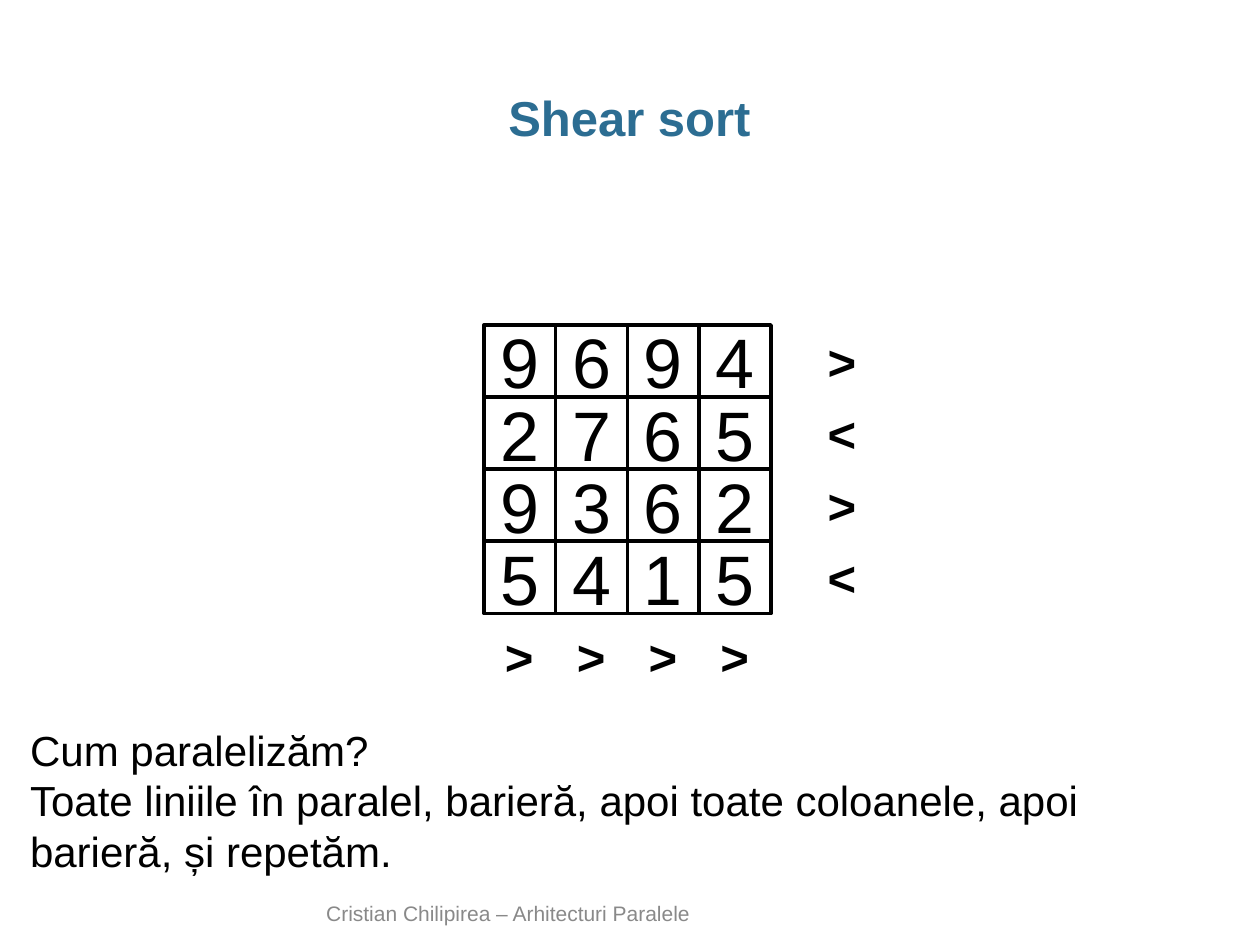
from pptx import Presentation
from pptx.dml.color import RGBColor
from pptx.enum.shapes import MSO_SHAPE
from pptx.enum.text import MSO_ANCHOR, PP_ALIGN
from pptx.util import Inches, Pt

BLACK = RGBColor(0x00, 0x00, 0x00)
BLUE = RGBColor(0x2C, 0x6D, 0x92)
GRAY = RGBColor(0x89, 0x89, 0x89)

CELL = 0.57
PITCH = 0.573
LEFT, TOP = 3.84, 2.58
MARK_W = 0.43
ROWS = ["9694", "2765", "9362", "5415"]
ROW_MARKS = "><><"
COLUMN_MARKS = ">>>>"


def write(tf, lines, fmt, align=PP_ALIGN.LEFT):
    for i, line in enumerate(lines):
        p = tf.paragraphs[0] if i == 0 else tf.add_paragraph()
        p.alignment = align
        r = p.add_run()
        r.text = line
        r.font.name = "Arial"
        r.font.color.rgb = fmt["color"]
        for name in ("size", "bold"):
            setattr(r.font, name, fmt.get(name))


def add_text(s, box, lines, fmt, align=PP_ALIGN.LEFT, wrap=True):
    tf = s.shapes.add_textbox(*map(Inches, box)).text_frame
    tf.word_wrap = wrap
    write(tf, lines, fmt, align)
    return tf


prs = Presentation()
prs.slide_width, prs.slide_height = Inches(10), Inches(7.5)
s = prs.slides.add_slide(prs.slide_layouts[6])

footer = add_text(s, (2.49, 7.16, 5.02, 0.24),
                  ["Cristian Chilipirea – Arhitecturi Paralele"],
                  {"size": Pt(12), "color": GRAY})
footer.vertical_anchor = MSO_ANCHOR.BOTTOM

title = add_text(s, (0.34, 0.68, 9.31, 0.5), ["Shear sort"],
                 {"size": Pt(28), "bold": True, "color": BLUE}, PP_ALIGN.CENTER)
title.margin_left = title.margin_right = 0
title.paragraphs[0].line_spacing = 0.95

for row, digits in enumerate(ROWS):
    for col, digit in enumerate(digits):
        box = (LEFT + col * CELL, TOP + row * PITCH, CELL, CELL)
        sp = s.shapes.add_shape(MSO_SHAPE.RECTANGLE, *map(Inches, box))
        sp.shadow.inherit = False
        sp.fill.background()
        sp.line.color.rgb = BLACK
        sp.line.width = Pt(2)
        sp.text_frame.vertical_anchor = MSO_ANCHOR.MIDDLE
        write(sp.text_frame, [digit], {"size": Pt(40), "color": BLACK},
              PP_ALIGN.CENTER)

mark_format = {"size": Pt(28), "bold": True, "color": BLACK}
for i, (row_mark, column_mark) in enumerate(zip(ROW_MARKS, COLUMN_MARKS)):
    add_text(s, (6.47, TOP + i * PITCH, MARK_W, CELL), [row_mark],
             mark_format, wrap=False)
    add_text(s, (LEFT + i * CELL + (CELL - MARK_W) / 2, 4.92, MARK_W, CELL),
             [column_mark], mark_format, wrap=False)

add_text(s, (0.14, 5.7, 9.52, 1.31),
         ["Cum paralelizăm?",
          "Toate liniile în paralel, barieră, apoi toate coloanele, apoi "
          "barieră, și repetăm."],
         {"size": Pt(24), "color": BLACK})

prs.save("out.pptx")
